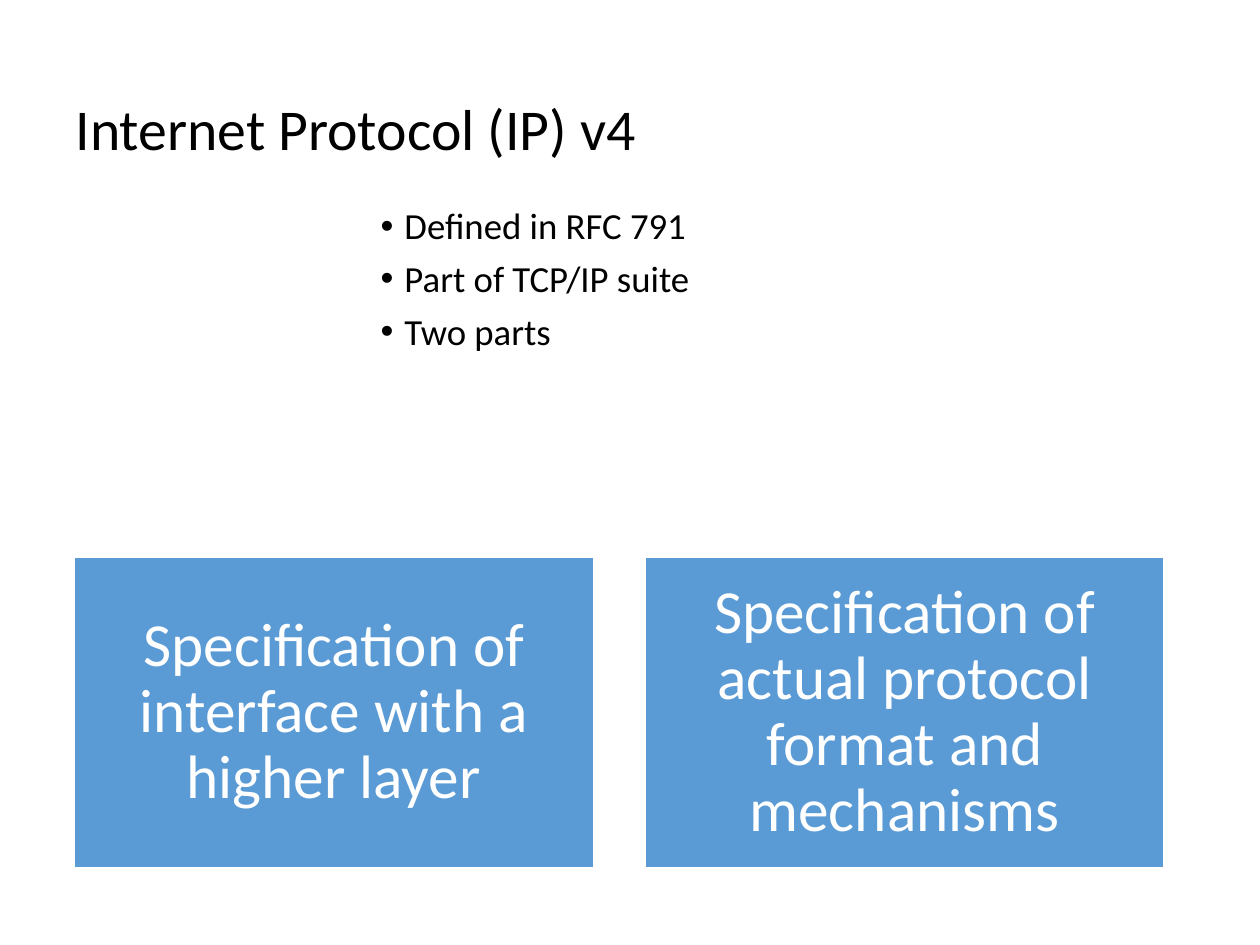
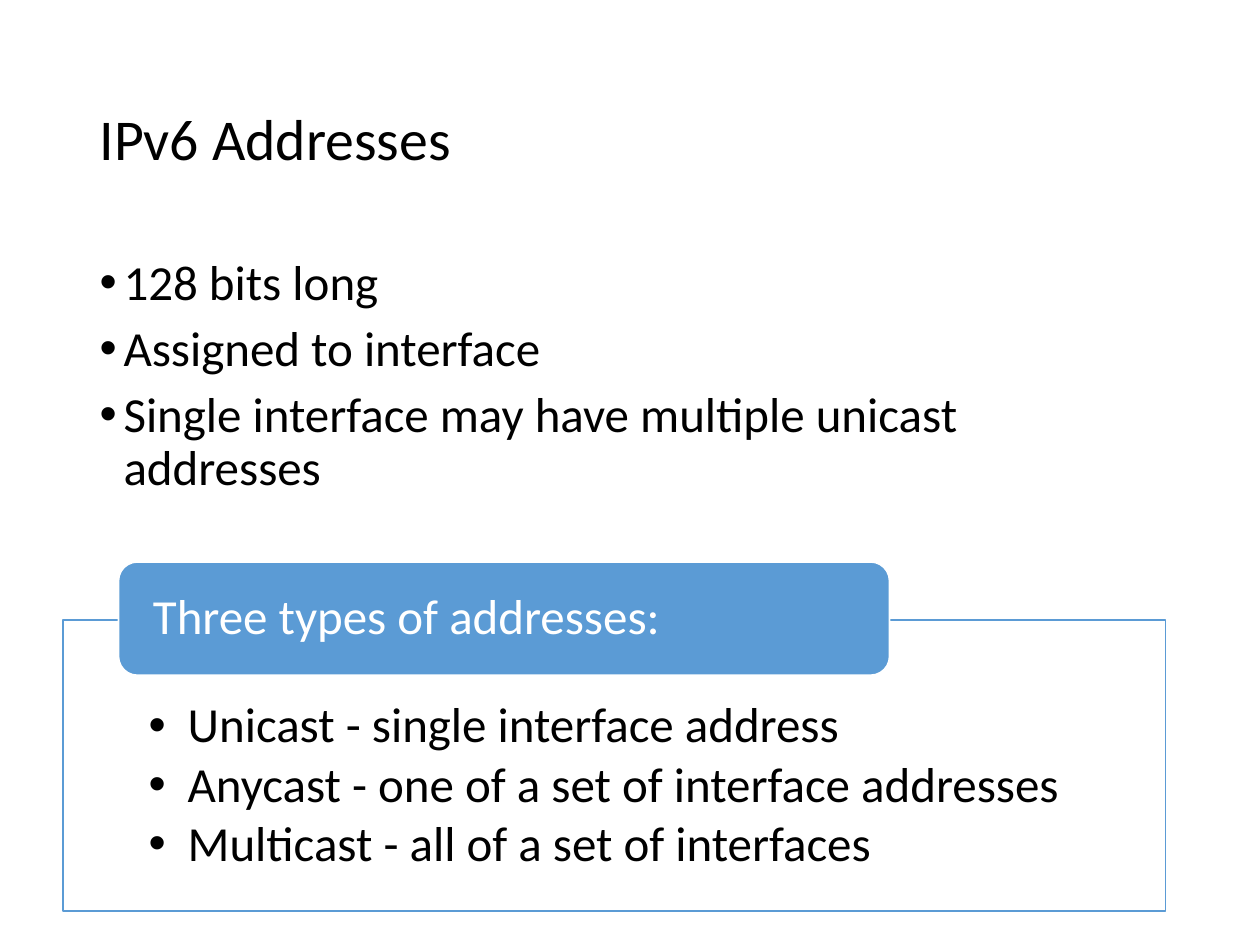
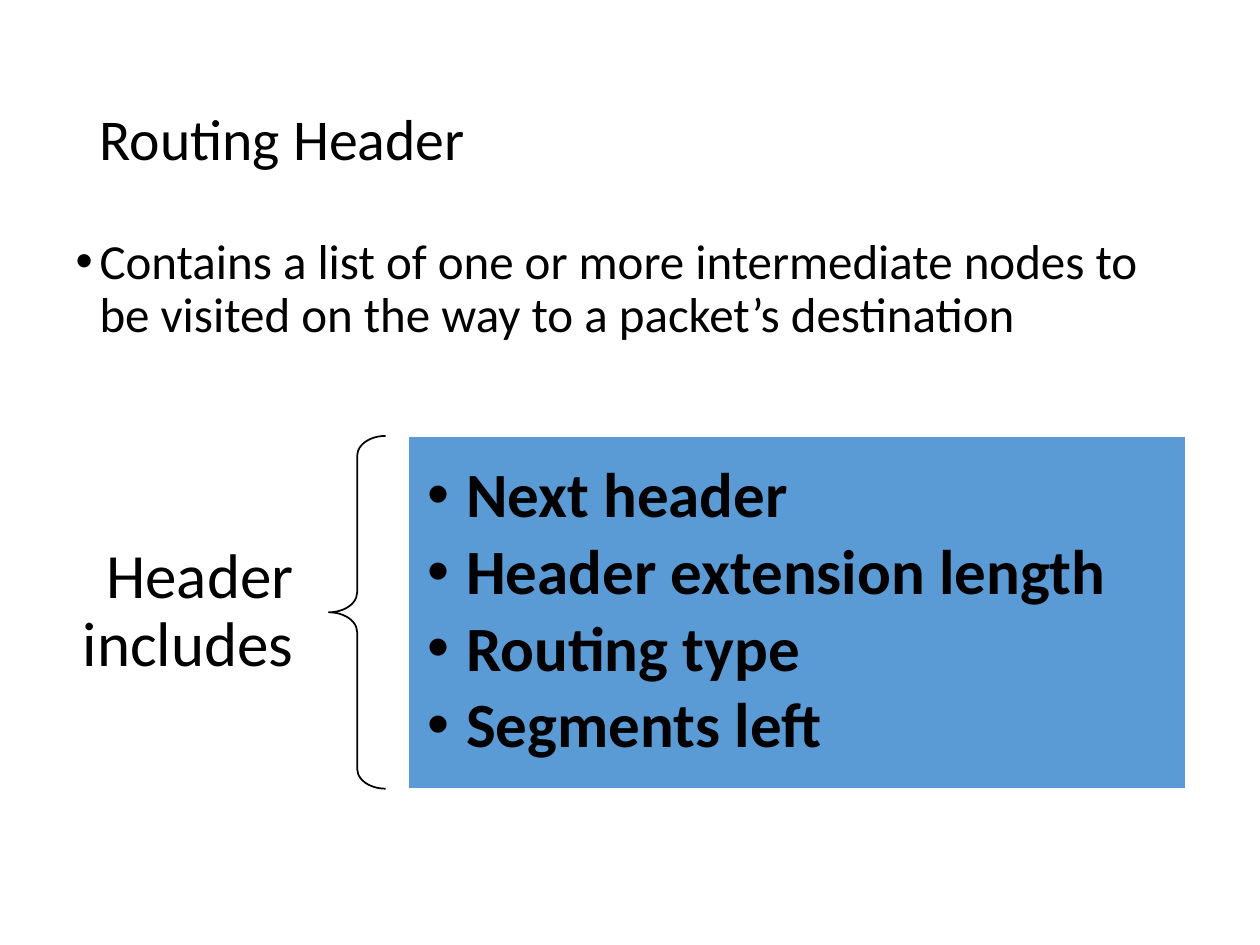
from lxml import etree
from pptx import Presentation
from pptx.dml.color import RGBColor
from pptx.enum.shapes import MSO_SHAPE
from pptx.enum.text import MSO_ANCHOR, MSO_AUTO_SIZE, PP_ALIGN
from pptx.oxml.ns import qn
from pptx.util import Inches, Pt

BLACK = RGBColor(0x00, 0x00, 0x00)
WHITE = RGBColor(0xFF, 0xFF, 0xFF)
BLUE = RGBColor(0x5B, 0x9B, 0xD5)

LEFT, CENTER, RIGHT = PP_ALIGN.LEFT, PP_ALIGN.CENTER, PP_ALIGN.RIGHT
TOP, MIDDLE = MSO_ANCHOR.TOP, MSO_ANCHOR.MIDDLE
RECTANGLE, ROUNDED = MSO_SHAPE.RECTANGLE, MSO_SHAPE.ROUNDED_RECTANGLE
LEFT_BRACE = MSO_SHAPE.LEFT_BRACE
NO_AUTOFIT = MSO_AUTO_SIZE.NONE

FONT = "Calibri"
LINE_SPACING = 0.9
BODY_INDENT = 0.19
PANEL_INDENT = 0.31
PANEL_INSETS = (0.15, 0.15, 0.15, 0.15)
TITLE_AREA = (0.69, 0.4, 8.62, 1.45)


def add_bullet(para, indent):
    properties = para._p.get_or_add_pPr()
    properties.set("marL", str(Inches(indent)))
    properties.set("indent", str(-Inches(indent)))
    etree.SubElement(properties, qn("a:buFont"), typeface="Arial")
    etree.SubElement(properties, qn("a:buChar"), char="•")


def write_text(box, lines, size, color=BLACK, bold=False, align=LEFT, anchor=TOP,
               insets=(0.1, 0.05, 0.1, 0.05), indent=None, before=0, after=0):
    frame = box.text_frame
    frame.word_wrap = True
    frame.auto_size = NO_AUTOFIT
    frame.vertical_anchor = anchor
    frame.margin_left, frame.margin_top, frame.margin_right, frame.margin_bottom = map(Inches, insets)
    for number, line in enumerate(lines):
        para = frame.add_paragraph() if number else frame.paragraphs[0]
        if indent:
            add_bullet(para, indent)
        para.alignment = align
        para.line_spacing = LINE_SPACING
        para.space_before = Pt(before if number else 0)
        para.space_after = Pt(after)
        span = para.add_run()
        span.text = line
        span.font.name = FONT
        span.font.size = Pt(size)
        span.font.bold = bold
        span.font.color.rgb = color


class DeckBuilder:
    def __init__(self):
        self.deck = Presentation()
        self.deck.slide_width = Inches(10)
        self.deck.slide_height = Inches(7.5)
        self.page = None

    def add_page(self, title, area=TITLE_AREA):
        self.page = self.deck.slides.add_slide(self.deck.slide_layouts[1])
        box = self.place(self.page.shapes.title, area)
        write_text(box, [title], 33, anchor=MIDDLE)

    def place(self, box, area):
        box.left, box.top, box.width, box.height = map(Inches, area)
        return box

    def add_body(self, lines, area, size=28):
        box = self.place(self.page.placeholders[1], area)
        write_text(box, lines, size, indent=BODY_INDENT, before=7.5)

    def add_panel(self, area, kind=RECTANGLE, fill=BLUE, line=WHITE):
        panel = self.page.shapes.add_shape(kind, *map(Inches, area))
        panel.shadow.inherit = False
        if fill is None:
            panel.fill.background()
        else:
            panel.fill.solid()
            panel.fill.fore_color.rgb = fill
        panel.line.color.rgb = line
        panel.line.width = Pt(1)
        return panel

    def add_label(self, text, area, size, **style):
        box = self.page.shapes.add_textbox(*map(Inches, area))
        write_text(box, [text], size, **style)

    def add_brace(self, area):
        brace = self.add_panel(area, LEFT_BRACE, fill=None, line=BLACK)
        brace.adjustments[0] = 0.35


def build_ipv4(builder):
    builder.add_page("Internet Protocol (IP) v4", (0.5, 0.42, 9, 1.25))
    builder.add_body(["Defined in RFC 791", "Part of TCP/IP suite", "Two parts"],
                     (2.92, 1.6, 9, 4.57), size=21)
    parts = ["Specification of interface with a higher layer",
             "Specification of actual protocol format and mechanisms"]
    for column, part in enumerate(parts):
        panel = builder.add_panel((0.59 + 4.53 * column, 4.42, 4.12, 2.47))
        write_text(panel, [part], 35, color=WHITE, align=CENTER, anchor=MIDDLE,
                   insets=PANEL_INSETS)


def build_ipv6(builder):
    builder.add_page("IPv6 Addresses")
    builder.add_body(["128 bits long", "Assigned to interface",
                      "Single interface may have multiple unicast addresses"],
                     (0.69, 2, 8.62, 4.76))
    types = builder.add_panel((0.5, 4.92, 8.75, 2.31), fill=WHITE, line=BLUE)
    write_text(types, ["Unicast - single interface address",
                       "Anycast - one of a set of interface addresses",
                       "Multicast - all of a set of interfaces"],
               28, insets=(0.68, 0.64, 0.68, 0.22), indent=PANEL_INDENT, after=3.6)
    heading = builder.add_panel((0.94, 4.46, 6.12, 0.9), ROUNDED)
    write_text(heading, ["Three types of addresses:"], 28, color=WHITE, anchor=MIDDLE,
               insets=(0.23, 0, 0.23, 0))


def build_routing_header(builder):
    builder.add_page("Routing Header")
    builder.add_body(["Contains a list of one or more intermediate nodes to be visited "
                      "on the way to a packet’s destination"], (0.5, 1.83, 9.08, 5.25))
    builder.add_label("Header includes", (0.34, 4.2, 2.27, 1.32), 36, align=RIGHT,
                      anchor=MIDDLE, insets=(0.28, 0.1, 0.28, 0.1))
    builder.add_brace((2.61, 3.46, 0.45, 2.8))
    fields = builder.add_panel((3.24, 3.46, 6.17, 2.8))
    write_text(fields, ["Next header", "Header extension length", "Routing type",
                        "Segments left"],
               36, bold=True, anchor=MIDDLE, insets=PANEL_INSETS, indent=PANEL_INDENT, after=5)


def main():
    builder = DeckBuilder()
    build_ipv4(builder)
    build_ipv6(builder)
    build_routing_header(builder)
    builder.deck.save("out.pptx")


if __name__ == "__main__":
    main()
